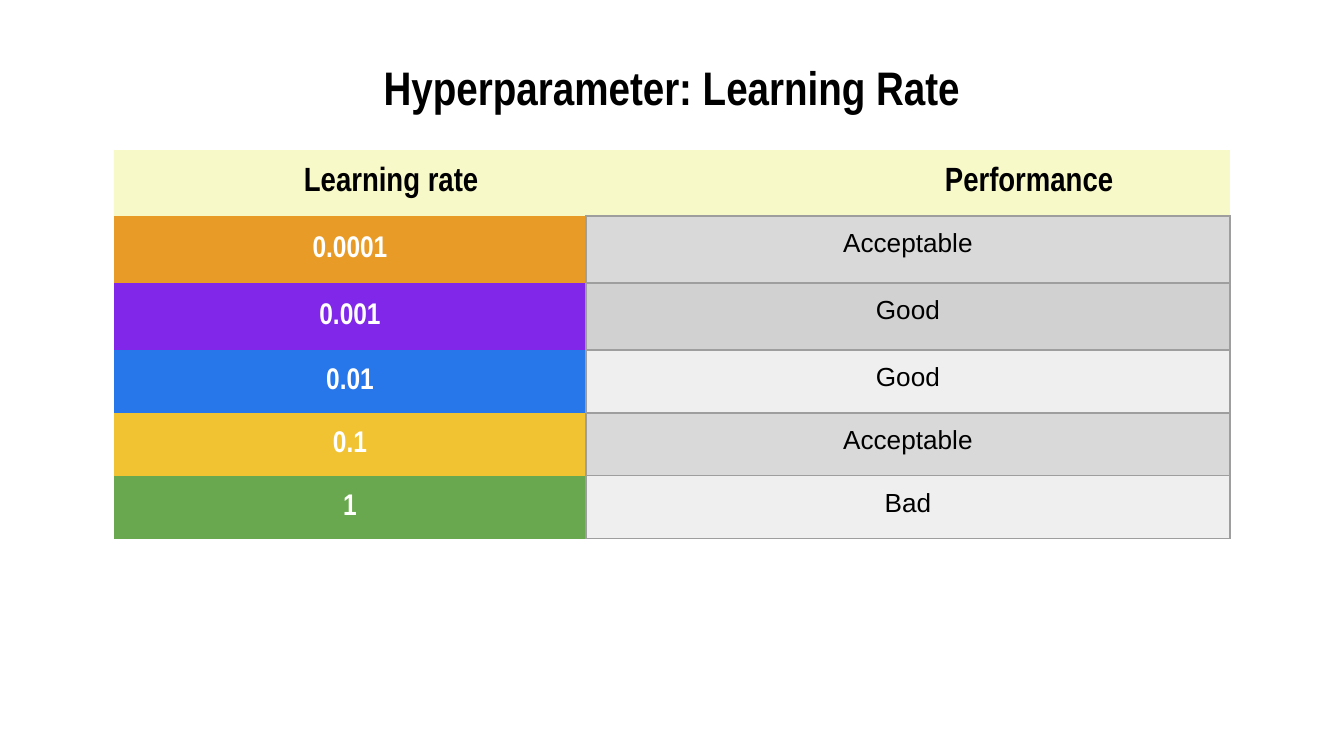
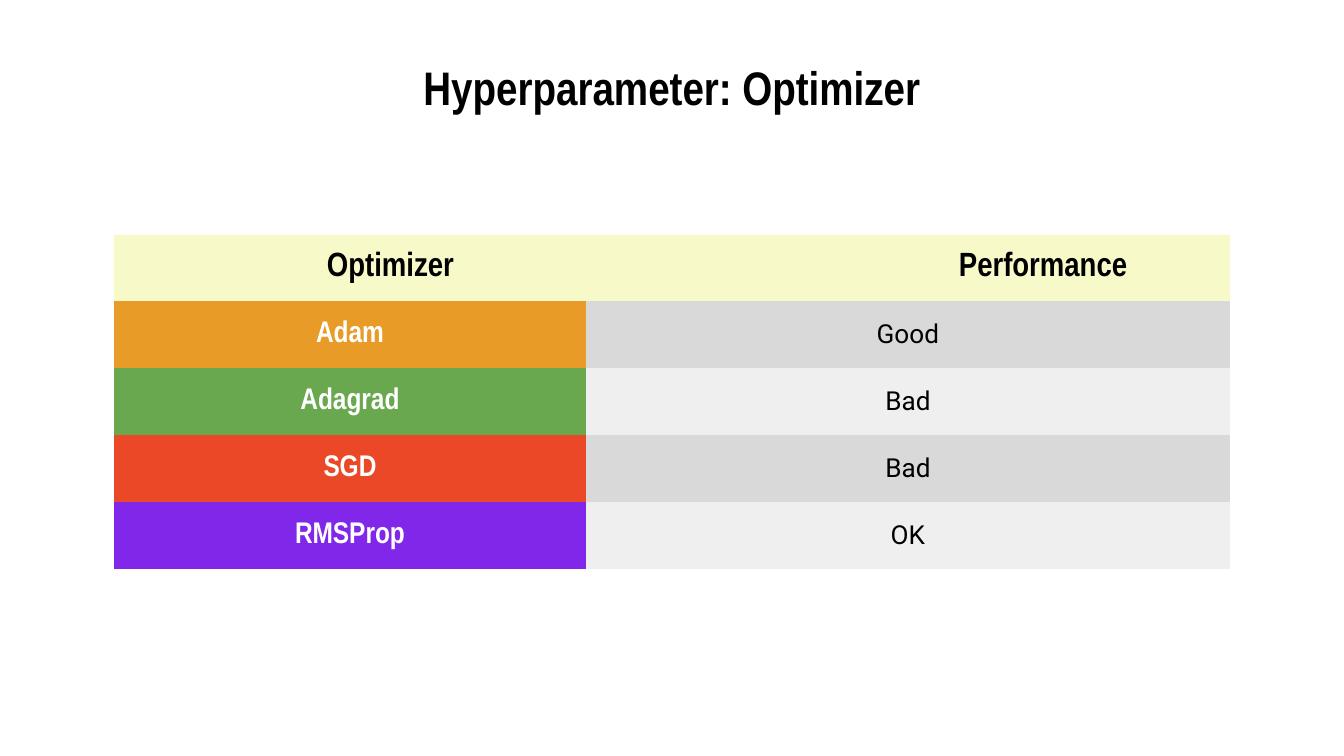
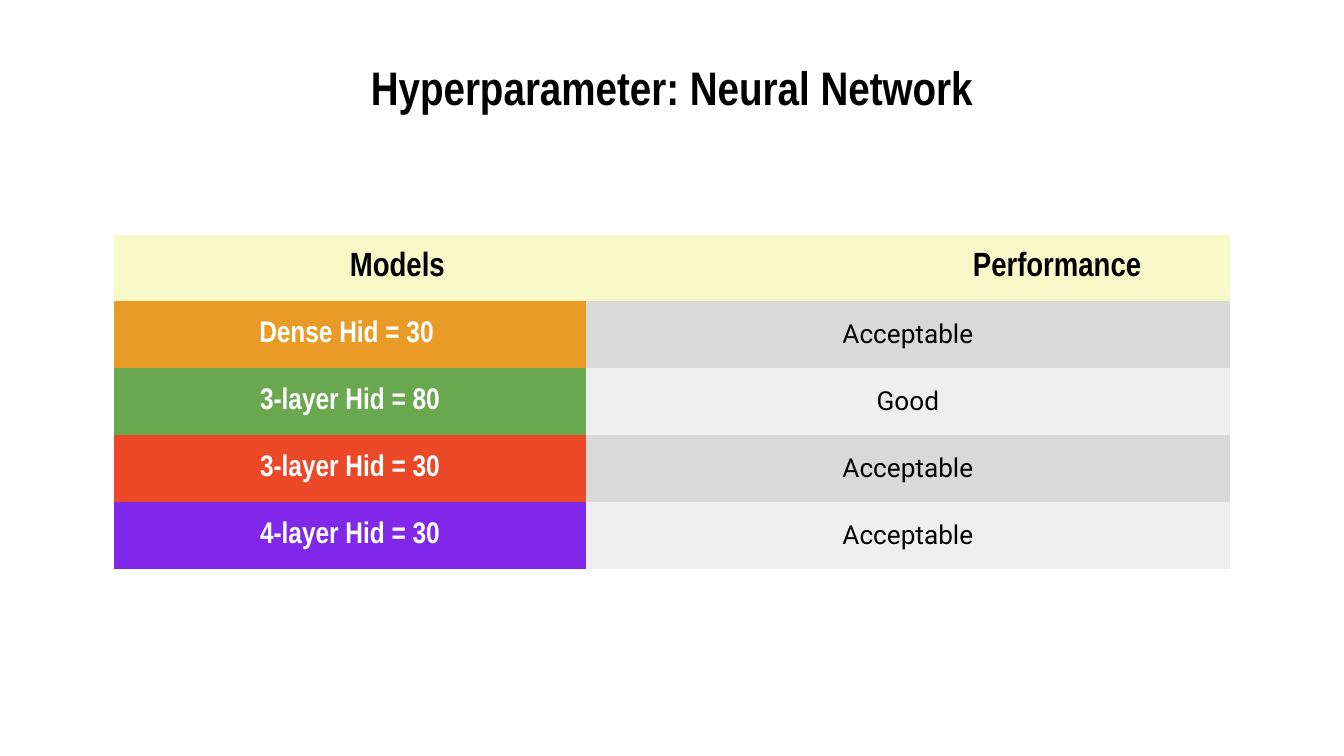
import dataclasses

import pptx
import pptx.dml.color
import pptx.enum.text
import pptx.oxml
import pptx.oxml.ns
import pptx.util
from lxml import etree

EMU_PER_INCH = 914400
PX_PER_INCH = 134.4
NO_GRID_STYLE = "{2D5ABB26-0587-4C30-8999-92F81FD0307C}"
MIDDLE = pptx.enum.text.MSO_ANCHOR.MIDDLE
TOP = pptx.enum.text.MSO_ANCHOR.TOP
CENTER = pptx.enum.text.PP_ALIGN.CENTER
LEFT = pptx.enum.text.PP_ALIGN.LEFT


@dataclasses.dataclass(frozen=True)
class Theme:
    """Colours, fonts and type sizes of the deck."""
    black: str = "000000"
    white: str = "FFFFFF"
    header: str = "E4EA27"
    header_alpha: int = 25000
    orange: str = "E99B27"
    purple: str = "8027EA"
    blue: str = "2776EA"
    yellow: str = "F1C232"
    green: str = "6AA84F"
    red: str = "EA4827"
    dark_grey: str = "D9D9D9"
    mid_grey: str = "D1D1D1"
    light_grey: str = "EFEFEF"
    grid: str = "9E9E9E"
    grid_width: float = 0.75
    heading_font: str = "Arial Narrow"
    title_size: float = 25.2
    header_size: int = 18
    option_size: int = 16
    result_size: int = 14


@dataclasses.dataclass(frozen=True)
class Comparison:
    """Content and placement of one hyperparameter slide."""
    subject: str
    option_label: str
    label_starts: tuple
    top: int
    row_heights: tuple
    rows: tuple
    result_font: str = "Roboto"
    result_anchor: object = MIDDLE
    gridded: bool = False


THEME = Theme()
SLIDE_SIZE = (1344, 756)
TITLE_BOX = (67, 59, 1210, 55)
TABLE_LEFT = 114
COLUMN_WIDTHS = (472, 644)
INSET = 13
EVEN_ROWS = (66, 67, 67, 67, 67)

COMPARISONS = (
    Comparison(
        "Learning Rate", "Learning rate", (177, 818), 150, (66, 67, 67, 63, 63, 63),
        (("0.0001", THEME.orange, "Acceptable", THEME.dark_grey),
         ("0.001", THEME.purple, "Good", THEME.mid_grey),
         ("0.01", THEME.blue, "Good", THEME.light_grey),
         ("0.1", THEME.yellow, "Acceptable", THEME.dark_grey),
         ("1", THEME.green, "Bad", THEME.light_grey)),
        result_font="Arial", result_anchor=TOP, gridded=True),
    Comparison(
        "Optimizer", "Optimizer", (200, 832), 235, EVEN_ROWS,
        (("Adam", THEME.orange, "Good", THEME.dark_grey),
         ("Adagrad", THEME.green, "Bad", THEME.light_grey),
         ("SGD", THEME.red, "Bad", THEME.dark_grey),
         ("RMSProp", THEME.purple, "OK", THEME.light_grey))),
    Comparison(
        "Neural Network", "Models", (223, 846), 235, EVEN_ROWS,
        (("Dense Hid = 30 ", THEME.orange, "Acceptable", THEME.dark_grey),
         ("3-layer Hid = 80", THEME.green, "Good", THEME.light_grey),
         ("3-layer Hid = 30", THEME.red, "Acceptable", THEME.dark_grey),
         ("4-layer Hid = 30", THEME.purple, "Acceptable", THEME.light_grey))),
)


def px(length):
    """Turn whole pixels into EMU."""
    return pptx.util.Emu(round(length * EMU_PER_INCH / PX_PER_INCH))


def rgb(colour):
    """Turn a hex string into a colour."""
    return pptx.dml.color.RGBColor.from_string(colour)


def write(paragraph, text, size, colour, font=THEME.heading_font, bold=True, align=CENTER):
    """Add one formatted run to a paragraph."""
    paragraph.alignment = align
    run = paragraph.add_run()
    run.text = text
    run.font.name = font
    run.font.size = pptx.util.Pt(size)
    run.font.bold = bold
    run.font.color.rgb = rgb(colour)


def set_insets(holder):
    """Give a cell or text frame the shared inset on every side."""
    for side in ("left", "right", "top", "bottom"):
        setattr(holder, f"margin_{side}", px(INSET))


def prepare_cell(cell, colour, anchor=MIDDLE):
    """Fill a cell, set its insets and anchor, and return its paragraph."""
    set_insets(cell)
    cell.vertical_anchor = anchor
    cell.fill.solid()
    cell.fill.fore_color.rgb = rgb(colour)
    return cell.text_frame.paragraphs[0]


def outline_cell(cell):
    """Draw the grid line on all four sides of a cell."""
    properties = cell._tc.get_or_add_tcPr()
    for index, side in enumerate(("lnL", "lnR", "lnT", "lnB")):
        line = pptx.oxml.parse_xml(
            f'<a:{side} {pptx.oxml.ns.nsdecls("a")} w="{pptx.util.Pt(THEME.grid_width)}">'
            f'<a:solidFill><a:srgbClr val="{THEME.grid}"/></a:solidFill></a:{side}>')
        properties.insert(index, line)


def add_title(slide, box, subject):
    """Place and write the slide title."""
    title = slide.shapes.title
    title.left, title.top, title.width, title.height = map(px, box)
    frame = title.text_frame
    set_insets(frame)
    frame.word_wrap = True
    frame.auto_size = pptx.enum.text.MSO_AUTO_SIZE.NONE
    frame.vertical_anchor = MIDDLE
    write(frame.paragraphs[0], f"Hyperparameter: {subject}", THEME.title_size, THEME.black)


def fill_header(table, comparison):
    """Merge the header row and set its two labels on tab stops."""
    header = table.cell(0, 0)
    header.merge(table.cell(0, 1))
    paragraph = prepare_cell(header, THEME.header)
    colour = header._tc.tcPr.find(".//" + pptx.oxml.ns.qn("a:srgbClr"))
    etree.SubElement(colour, pptx.oxml.ns.qn("a:alpha"), val=str(THEME.header_alpha))
    stops = etree.SubElement(paragraph._p.get_or_add_pPr(), pptx.oxml.ns.qn("a:tabLst"))
    for start in comparison.label_starts:
        etree.SubElement(stops, pptx.oxml.ns.qn("a:tab"), pos=str(px(start)), algn="l")
    write(paragraph, f"\t{comparison.option_label}\tPerformance",
          THEME.header_size, THEME.black, align=LEFT)


def add_results(slide, box, comparison):
    """Build the table of options and their performance."""
    frame = slide.shapes.add_table(len(comparison.row_heights), len(COLUMN_WIDTHS), *map(px, box))
    table = frame.table
    table.first_row = table.horz_banding = False
    table._tbl.tblPr.find(pptx.oxml.ns.qn("a:tableStyleId")).text = NO_GRID_STYLE
    for column, width in zip(table.columns, COLUMN_WIDTHS):
        column.width = px(width)
    for row, height in zip(table.rows, comparison.row_heights):
        row.height = px(height)
    fill_header(table, comparison)
    for index, (option, option_fill, result, result_fill) in enumerate(comparison.rows, 1):
        write(prepare_cell(table.cell(index, 0), option_fill), option,
              THEME.option_size, THEME.white)
        result_cell = table.cell(index, 1)
        write(prepare_cell(result_cell, result_fill, comparison.result_anchor), result,
              THEME.result_size, THEME.black, comparison.result_font, bold=False)
        if comparison.gridded:
            outline_cell(result_cell)


def add_comparison(deck, comparison):
    """Add one slide with a title and a results table."""
    slide = deck.slides.add_slide(deck.slide_layouts.get_by_name("Title Only"))
    add_title(slide, TITLE_BOX, comparison.subject)
    table_box = (TABLE_LEFT, comparison.top, sum(COLUMN_WIDTHS), sum(comparison.row_heights))
    add_results(slide, table_box, comparison)


def main():
    """Build and save the deck."""
    deck = pptx.Presentation()
    deck.slide_width, deck.slide_height = map(px, SLIDE_SIZE)
    for comparison in COMPARISONS:
        add_comparison(deck, comparison)
    deck.save("out.pptx")


if __name__ == "__main__":
    main()
